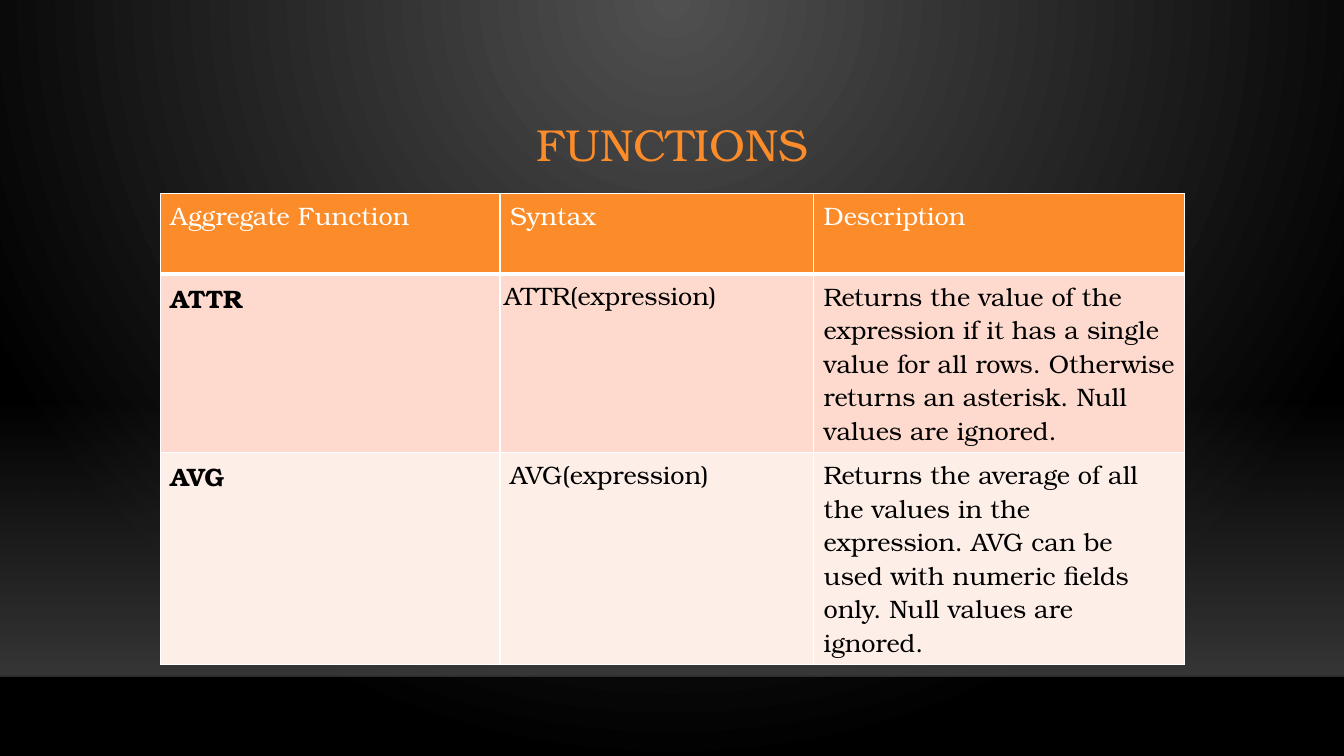
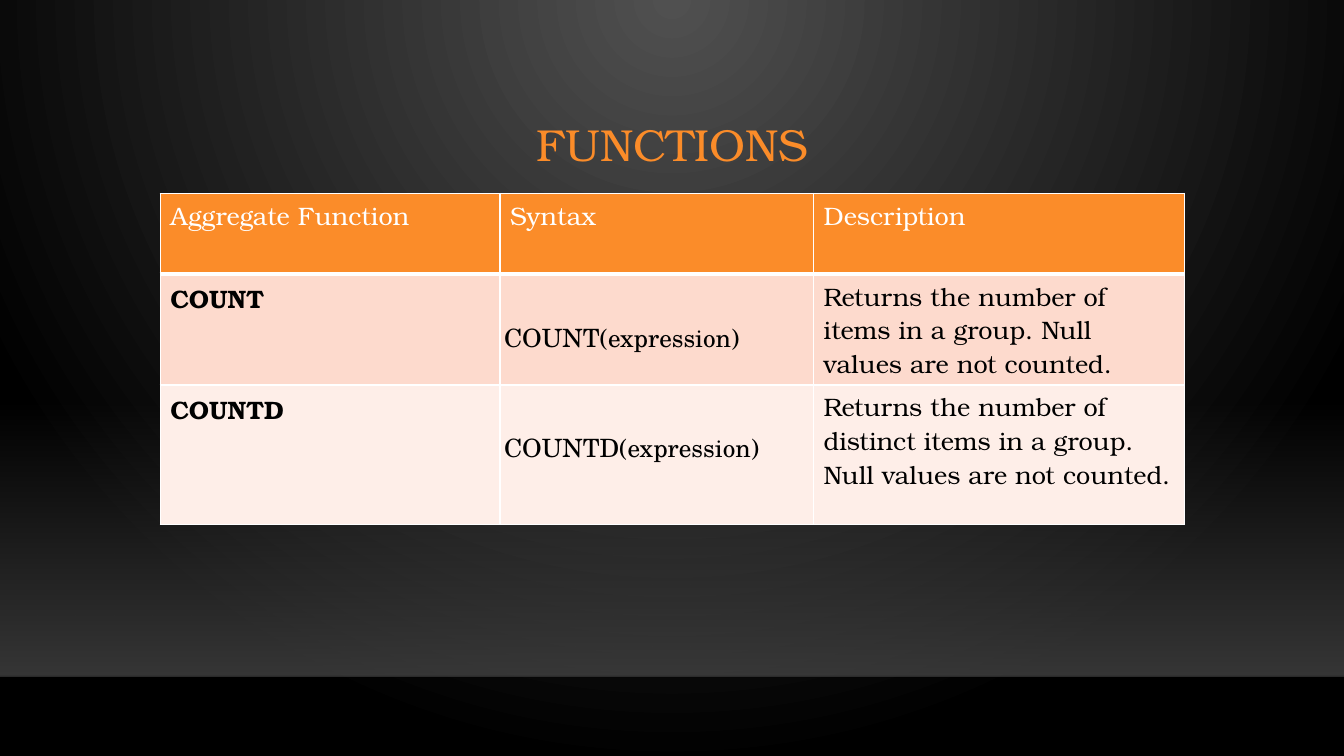
from dataclasses import dataclass

from lxml import etree
from pptx import Presentation
from pptx import util as u
from pptx.dml.color import RGBColor
from pptx.enum import shapes, text
from pptx.oxml import ns, parse_xml

# Shared look
ORANGE, WHITE, BLACK = "FB8C29", "FFFFFF", "000000"
ROW_FILLS = ["FDDACD", "FEEEE8"]
BONUM, SCHOLA = "TeX Gyre Bonum", "TeX Gyre Schola"
WIDTH, HEIGHT = 13.33, 7.5
BAND_TOP, FLOOR_TOP = 3.96, 6.71
LEFT, CONTENT_WIDTH = 1.59, 10.16
TABLE_TOP, HEADER_HEIGHT = 1.92, 0.8
COLUMNS = [3.37, 3.11, 3.68]
HEADINGS = ["Aggregate Function", "Syntax", "Description"]


@dataclass
class Style:
    size: float = 18
    color: str = BLACK
    font: str = BONUM
    bold: bool = False


@dataclass
class Function:
    name: str
    description: str
    height: float
    font: str = BONUM
    inset: float = 0.04
    top: float = 0.04

    @property
    def syntax(self) -> str:
        return f"{self.name}(expression)"


# Contents, one list of functions for each slide
DECK = [
    [
        Function("ATTR", "Returns the value of the expression if it has a single value for all "
                 "rows. Otherwise returns an asterisk. Null values are ignored.", 1.77),
        Function("AVG", "Returns the average of all the values in the expression. AVG can be used "
                 "with numeric fields only. Null values are ignored.", 2.1, inset=0.1, top=0.05),
    ],
    [
        Function("COUNT", "Returns the number of items in a group. Null values are not counted.",
                 1.1, SCHOLA, top=0.44),
        Function("COUNTD", "Returns the number of distinct items in a group. Null values are not "
                 "counted.", 1.38, SCHOLA, top=0.44),
    ],
]


def rgb(color: str) -> RGBColor:
    return RGBColor.from_string(color)


def gradient(stops: list[tuple[int, str, int]], direction: str):
    """Gradient fill from (position, colour, opacity) stops, all but colour in percent."""
    marks = "".join(
        f'<a:gs pos="{pos * 1000}"><a:srgbClr val="{color}">'
        f'<a:alpha val="{opacity * 1000}"/></a:srgbClr></a:gs>'
        for pos, color, opacity in stops)
    return parse_xml(f'<a:gradFill {ns.nsdecls("a")} rotWithShape="1">'
                     f'<a:gsLst>{marks}</a:gsLst>{direction}</a:gradFill>')


def swap_fill(parent, fill) -> None:
    parent.replace(parent.find(ns.qn("a:solidFill")), fill)


def write(p, content: str, style: Style) -> None:
    r = p.add_run()
    r.text = content
    r.font.size, r.font.name, r.font.bold = u.Pt(style.size), style.font, style.bold
    r.font.color.rgb = rgb(style.color)


def paint_background(master) -> None:
    master.background.fill.solid()
    glow = gradient([(0, "505050", 100), (100, BLACK, 100)],
                    '<a:path path="circle">'
                    '<a:fillToRect l="43000" t="0" r="43000" b="100000"/></a:path>')
    swap_fill(master.element.find(".//" + ns.qn("p:bgPr")), glow)


def add_frame(s) -> None:
    # Floor light
    sp = s.shapes.add_shape(shapes.MSO_SHAPE.RECTANGLE, 0, u.Inches(BAND_TOP),
                            u.Inches(WIDTH), u.Inches(FLOOR_TOP - BAND_TOP))
    sp.shadow.inherit = False
    sp.line.fill.background()
    sp.fill.solid()
    swap_fill(sp.element.spPr, gradient([(0, "454545", 0), (100, "454545", 80)],
                                        '<a:lin ang="5400000" scaled="0"/>'))
    # Floor edge
    edge = s.shapes.add_connector(shapes.MSO_CONNECTOR.STRAIGHT, 0, u.Inches(FLOOR_TOP),
                                  u.Inches(WIDTH), u.Inches(FLOOR_TOP))
    edge.line.width = u.Pt(1)
    edge.line.color.rgb = rgb("000001")
    spPr = edge.element.spPr
    color = spPr.find(".//" + ns.qn("a:srgbClr"))
    etree.SubElement(color, ns.qn("a:alpha"), val="20000")
    etree.SubElement(spPr, ns.qn("a:effectLst"))


def add_title(s, title: str) -> None:
    sp = s.shapes.add_textbox(u.Inches(LEFT), u.Inches(0.88),
                              u.Inches(CONTENT_WIDTH), u.Inches(1.15))
    tf = sp.text_frame
    tf.word_wrap = True
    tf.vertical_anchor = text.MSO_ANCHOR.MIDDLE
    p = tf.paragraphs[0]
    p.alignment, p.line_spacing = text.PP_ALIGN.CENTER, 0.9
    write(p, title, Style(32, ORANGE))


def fill_cell(cell, content: str, style: Style, fill: str,
              top_line: int = 1, bottom_line: int = 1) -> None:
    tcPr = cell._tc.get_or_add_tcPr()
    for side, width in [("L", 1), ("R", 1), ("T", top_line), ("B", bottom_line)]:
        tcPr.append(parse_xml(
            f'<a:ln{side} {ns.nsdecls("a")} w="{u.Pt(width)}"><a:solidFill>'
            f'<a:srgbClr val="{WHITE}"/></a:solidFill></a:ln{side}>'))
    cell.fill.solid()
    cell.fill.fore_color.rgb = rgb(fill)
    write(cell.text_frame.paragraphs[0], content, style)


def add_function_table(s, functions: list[Function]) -> None:
    heights = [HEADER_HEIGHT] + [f.height for f in functions]
    table = s.shapes.add_table(len(heights), len(COLUMNS), u.Inches(LEFT), u.Inches(TABLE_TOP),
                               u.Inches(CONTENT_WIDTH), u.Inches(sum(heights))).table
    table.first_row = table.horz_banding = False
    for column, width in zip(table.columns, COLUMNS):
        column.width = u.Inches(width)
    for row, height in zip(table.rows, heights):
        row.height = u.Inches(height)

    for i, heading in enumerate(HEADINGS):
        fill_cell(table.cell(0, i), heading, Style(color=WHITE), ORANGE, bottom_line=3)
    for row, (f, fill) in enumerate(zip(functions, ROW_FILLS), 1):
        contents = [(f.name, Style(bold=True)), (f.syntax, Style(font=f.font)),
                    (f.description, Style())]
        for i, (content, style) in enumerate(contents):
            fill_cell(table.cell(row, i), content, style, fill, top_line=3 if row == 1 else 1)
        syntax = table.cell(row, 1)
        syntax.margin_left = syntax.margin_right = u.Inches(f.inset)
        syntax.margin_top = u.Inches(f.top)


# Build the deck
prs = Presentation()
prs.slide_width, prs.slide_height = u.Inches(WIDTH), u.Inches(HEIGHT)
paint_background(prs.slide_master)
for functions in DECK:
    s = prs.slides.add_slide(prs.slide_layouts[6])
    add_frame(s)
    add_title(s, "FUNCTIONS")
    add_function_table(s, functions)
prs.save("out.pptx")
